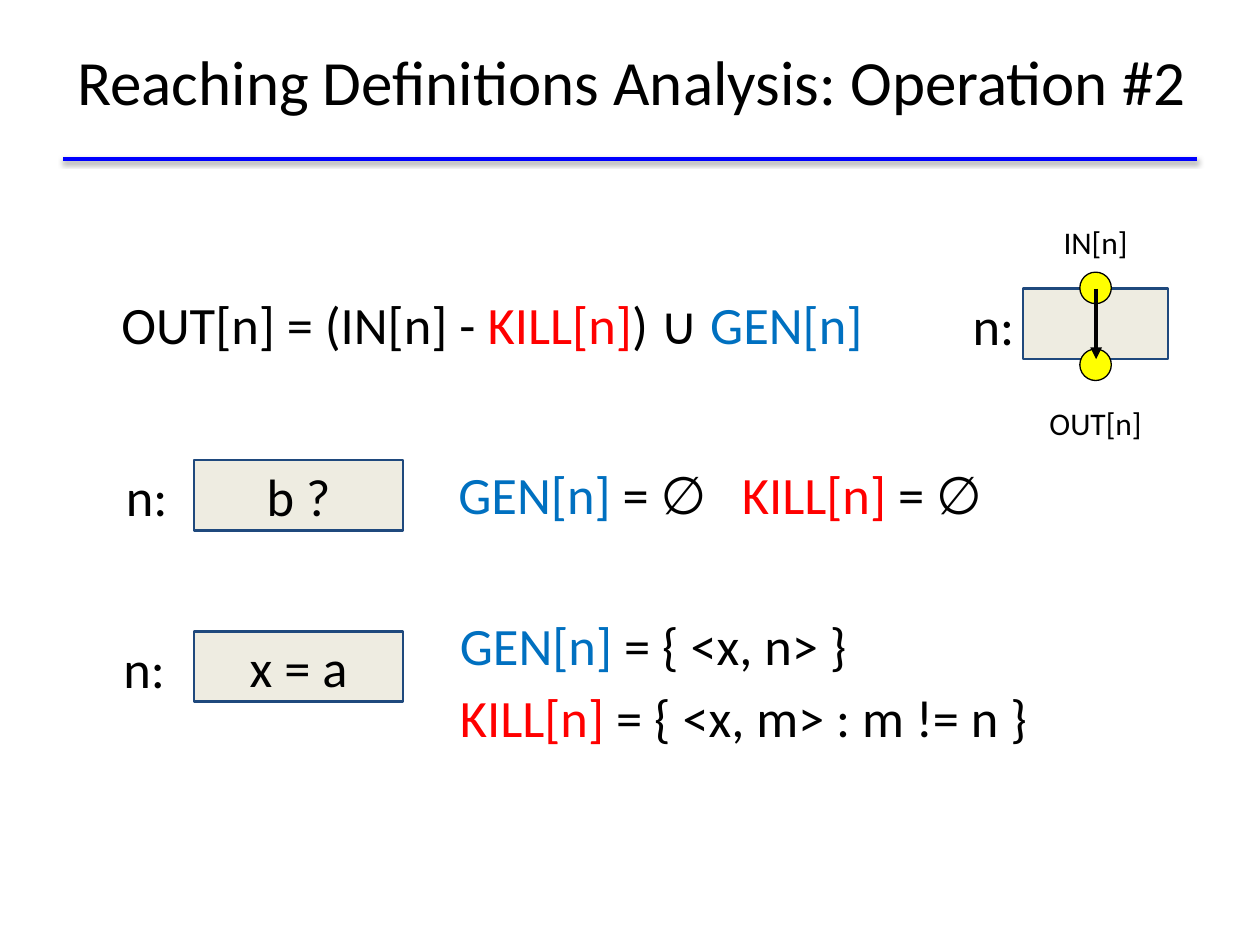
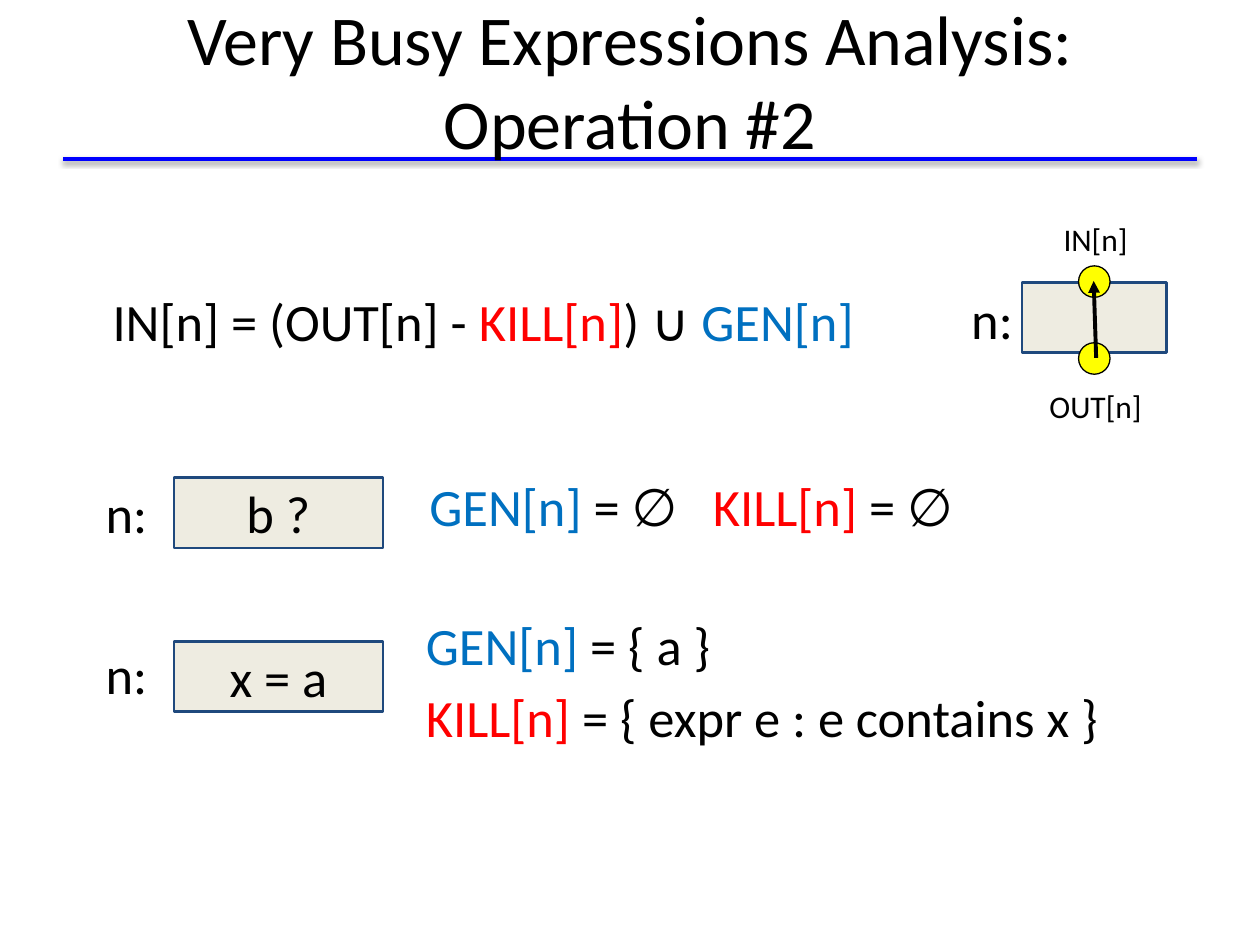
from dataclasses import dataclass

from lxml.etree import SubElement
from pptx import Presentation
from pptx.dml.color import RGBColor
from pptx.enum.shapes import MSO_CONNECTOR, MSO_SHAPE
from pptx.enum.text import MSO_ANCHOR, MSO_AUTO_SIZE, PP_ALIGN
from pptx.oxml.ns import qn
from pptx.util import Inches, Pt

# Shared look
FONT = "Calibri"
BLACK, BLUE, RED, GEN_BLUE = "000000", "0000FF", "FF0000", "0070C0"
BOX_FILL, BOX_LINE, YELLOW = "EEECE1", "1F497D", "FFFF00"
TEXT_SIZE, LABEL_SIZE = 30, 18
NODE_HEIGHT, DOT_SIZE = 0.56, 0.25
KILL_TAB = 2.25

Runs = list[tuple[str, str]]
GEN = ("GEN[n]", GEN_BLUE)
KILL = ("KILL[n]", RED)
EMPTY_SETS: Runs = [GEN, (" = ∅\t", BLACK), KILL, (" = ∅", BLACK)]


@dataclass
class Area:
    left: float
    top: float
    width: float
    height: float

    def lengths(self) -> list[int]:
        return [Inches(v) for v in (self.left, self.top, self.width, self.height)]


@dataclass
class Node:
    text: str
    left: float
    top: float
    label_left: float
    label_top: float


@dataclass
class FlowDiagram:
    left: float
    top: float
    in_top: float
    out_top: float
    arrow: tuple[float, float, float, float]


@dataclass
class AnalysisSlide:
    title: str
    title_size: int
    title_area: Area
    formula: Runs
    formula_area: Area
    empty_sets_area: Area
    sets: list[Runs]
    sets_area: Area
    nodes: list[Node]
    diagram: FlowDiagram


SLIDES = [
    AnalysisSlide(
        "Reaching Definitions Analysis: Operation #2", 36, Area(0.48, 0.01, 9.07, 1.25),
        [("OUT[n] = (IN[n] - ", BLACK), KILL, (") ∪ ", BLACK), GEN],
        Area(0.44, 2.19, 6.93, 1.01),
        Area(3.54, 3.54, 4.6, 0.94),
        [[GEN, (" = { <x, n> }", BLACK)], [KILL, (" = { <x, m> : m != n }", BLACK)]],
        Area(3.55, 4.74, 5.07, 1.37),
        [Node("b ?", 1.54, 3.65, 0.9, 3.56), Node("x = a", 1.54, 5.01, 0.88, 4.92)],
        FlowDiagram(8.12, 2.29, 1.54, 2.97, (8.7, 2.29, 8.7, 2.85)),
    ),
    AnalysisSlide(
        "Very Busy Expressions Analysis: Operation #2", 40, Area(0.5, 0.01, 9, 1.25),
        [("IN[n] = (OUT[n] - ", BLACK), KILL, (") ∪ ", BLACK), GEN],
        Area(0.37, 2.17, 6.93, 1.01),
        Area(3.31, 3.64, 4.6, 0.94),
        [[GEN, (" = { a }", BLACK)], [KILL, (" = { expr e : e contains x }", BLACK)]],
        Area(3.28, 4.74, 6.51, 1.41),
        [Node("b ?", 1.38, 3.79, 0.74, 3.69), Node("x = a", 1.38, 5.09, 0.74, 4.97)],
        FlowDiagram(8.11, 2.24, 1.51, 2.84, (8.7, 2.84, 8.68, 2.23)),
    ),
]


def color(value: str) -> RGBColor:
    return RGBColor.from_string(value)


def place(shape, area: Area) -> None:
    shape.left, shape.top, shape.width, shape.height = area.lengths()


def set_frame(shape, margin: float = 0.05, anchor=MSO_ANCHOR.TOP):
    frame = shape.text_frame
    frame.word_wrap = True
    frame.auto_size = MSO_AUTO_SIZE.NONE
    frame.vertical_anchor = anchor
    frame.margin_left = frame.margin_right = Inches(0.1)
    frame.margin_top = frame.margin_bottom = Inches(margin)
    return frame


def set_font(paragraph, size: int, align=PP_ALIGN.LEFT) -> None:
    paragraph.alignment = align
    paragraph.font.name = FONT
    paragraph.font.size = Pt(size)


def set_spacing(paragraph) -> None:
    paragraph.line_spacing = 1.15
    paragraph.space_before = Pt(5.9)


def add_runs(paragraph, runs: Runs) -> None:
    for text, value in runs:
        run = paragraph.add_run()
        run.text = text
        run.font.color.rgb = color(value)


def add_text(slide, area: Area, runs: Runs, size: int = TEXT_SIZE,
             align=PP_ALIGN.LEFT, margin: float = 0.05, anchor=MSO_ANCHOR.TOP):
    box = slide.shapes.add_textbox(*area.lengths())
    paragraph = set_frame(box, margin, anchor).paragraphs[0]
    set_spacing(paragraph)
    set_font(paragraph, size, align)
    add_runs(paragraph, runs)
    return paragraph


def add_node_label(slide, left: float, top: float) -> None:
    add_text(slide, Area(left, top, 0.71, 0.72), [("n:", BLACK)])


def add_shape(slide, kind, area: Area, fill: str, line: str, width: float):
    shape = slide.shapes.add_shape(kind, *area.lengths())
    shape.shadow.inherit = False
    shape.fill.solid()
    shape.fill.fore_color.rgb = color(fill)
    shape.line.color.rgb = color(line)
    shape.line.width = Pt(width)
    return shape


def add_node_box(slide, left: float, top: float, width: float):
    area = Area(left, top, width, NODE_HEIGHT)
    return add_shape(slide, MSO_SHAPE.RECTANGLE, area, BOX_FILL, BOX_LINE, 1.5)


def add_line(slide, ends: tuple[float, float, float, float], value: str, width: float):
    """Return the connector and its effect list, which starts empty."""
    line = slide.shapes.add_connector(MSO_CONNECTOR.STRAIGHT, *map(Inches, ends))
    line.line.color.rgb = color(value)
    line.line.width = Pt(width)
    return line, SubElement(line.element.spPr, qn("a:effectLst"))


def add_title_rule(slide) -> None:
    """Draw the shadowed rule and move it to the layout that the slides share."""
    rule, effects = add_line(slide, (0.5, 1.26, 9.5, 1.26), BLUE, 2)
    shadow = SubElement(effects, qn("a:outerShdw"), blurRad=str(Pt(3.1)),
                        dist=str(Pt(1.6)), dir="5400000", rotWithShape="0")
    shade = SubElement(shadow, qn("a:srgbClr"), val=BLACK)
    SubElement(shade, qn("a:alpha"), val="38000")
    rule.element.nvCxnSpPr.cNvPr.id = 100
    slide.slide_layout.shapes.element.append(rule.element)


def add_title(slide, content: AnalysisSlide) -> None:
    title = slide.shapes.title
    place(title, content.title_area)
    paragraph = set_frame(title, anchor=MSO_ANCHOR.MIDDLE).paragraphs[0]
    set_font(paragraph, content.title_size, PP_ALIGN.CENTER)
    add_runs(paragraph, [(content.title, BLACK)])


def add_empty_sets(slide, area: Area) -> None:
    paragraph = add_text(slide, area, EMPTY_SETS)
    properties = paragraph._p.get_or_add_pPr()
    tabs = properties.makeelement(qn("a:tabLst"))
    SubElement(tabs, qn("a:tab"), pos=str(Inches(KILL_TAB)), algn="l")
    properties.find(qn("a:defRPr")).addprevious(tabs)


def add_sets(slide, content: AnalysisSlide) -> None:
    body = slide.placeholders[1]
    place(body, content.sets_area)
    paragraph = set_frame(body).paragraphs[0]
    set_spacing(paragraph)
    properties = paragraph._p.get_or_add_pPr()
    properties.set("marL", "0")
    properties.set("indent", "0")
    SubElement(properties, qn("a:buNone"))
    set_font(paragraph, TEXT_SIZE)
    generated, killed = content.sets
    add_runs(paragraph, generated)
    paragraph.add_line_break()
    add_runs(paragraph, killed)


def add_node(slide, node: Node) -> None:
    add_node_label(slide, node.label_left, node.label_top)
    box = add_node_box(slide, node.left, node.top, 1.66)
    paragraph = set_frame(box, 0.1, MSO_ANCHOR.MIDDLE).paragraphs[0]
    set_font(paragraph, TEXT_SIZE, PP_ALIGN.CENTER)
    add_runs(paragraph, [(node.text, BLACK)])


def add_diagram(slide, diagram: FlowDiagram) -> None:
    left, top = diagram.left, diagram.top
    add_node_label(slide, left - 0.5, top - 0.09)
    add_node_box(slide, left, top, 1.15)
    for dot_top in (top - 0.13, top + 0.48):
        dot = Area(left + 0.45, dot_top, DOT_SIZE, DOT_SIZE)
        add_shape(slide, MSO_SHAPE.OVAL, dot, YELLOW, BLACK, 0.75)
    arrow, _ = add_line(slide, diagram.arrow, BLACK, 2.25)
    SubElement(arrow.line._get_or_add_ln(), qn("a:tailEnd"), type="triangle")
    for text, label_top in (("IN[n]", diagram.in_top), ("OUT[n]", diagram.out_top)):
        add_text(slide, Area(8.02, label_top, 1.35, 0.72), [(text, BLACK)],
                 LABEL_SIZE, PP_ALIGN.CENTER, 0.1, MSO_ANCHOR.MIDDLE)


def build_slide(presentation, content: AnalysisSlide):
    slide = presentation.slides.add_slide(presentation.slide_layouts[1])
    add_title(slide, content)
    add_text(slide, content.formula_area, content.formula, align=PP_ALIGN.CENTER)
    add_empty_sets(slide, content.empty_sets_area)
    add_sets(slide, content)
    for node in content.nodes:
        add_node(slide, node)
    add_diagram(slide, content.diagram)
    return slide


def main() -> None:
    presentation = Presentation()
    presentation.slide_width, presentation.slide_height = Inches(10), Inches(7.5)
    slides = [build_slide(presentation, content) for content in SLIDES]
    add_title_rule(slides[0])
    presentation.save("out.pptx")


if __name__ == "__main__":
    main()
